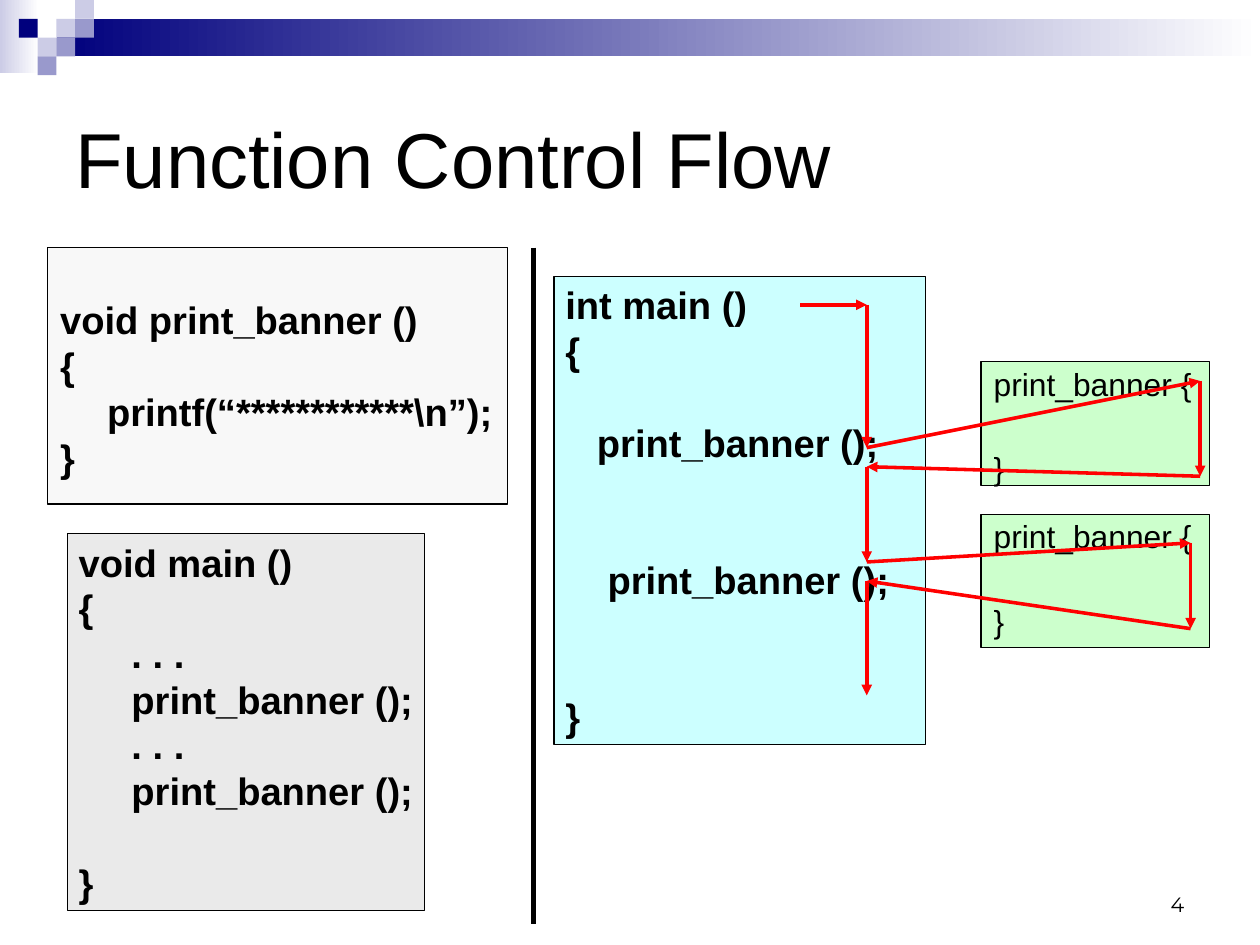
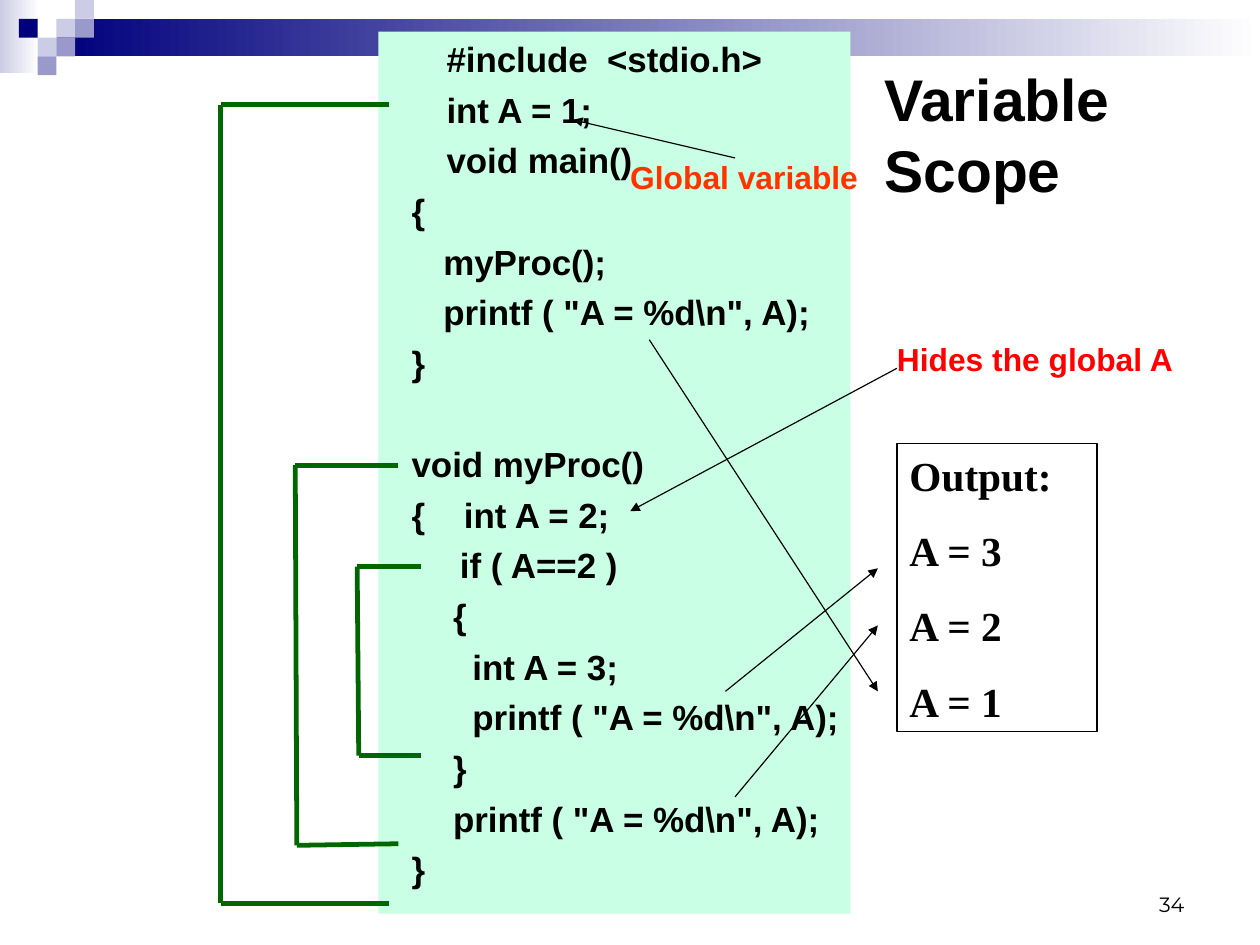
"""Build two slides on C functions: control flow and variable scope."""
from itertools import pairwise

from pptx import Presentation
from pptx.dml.color import RGBColor
from pptx.enum.shapes import MSO_CONNECTOR, MSO_SHAPE
from pptx.enum.text import MSO_ANCHOR, PP_ALIGN
from pptx.oxml.ns import qn
from pptx.oxml.xmlchemy import OxmlElement
from pptx.util import Pt

RECTANGLE = MSO_SHAPE.RECTANGLE
STRAIGHT = MSO_CONNECTOR.STRAIGHT
TOP, MIDDLE, BOTTOM = MSO_ANCHOR.TOP, MSO_ANCHOR.MIDDLE, MSO_ANCHOR.BOTTOM
LEFT, RIGHT = PP_ALIGN.LEFT, PP_ALIGN.RIGHT

WIDTH, HEIGHT = 793.7, 595.28
CELL = 11.85
LINE_HEIGHT = 1.2
INSET = (7.9, 4)
NARROW_INSET = (7.2, 3.6)

COLORS = {
    "black": "000000",
    "white": "FFFFFF",
    "navy": "00007D",
    "lavender": "CCCCE6",
    "periwinkle": "9999CC",
    "near_white": "F8F8F8",
    "gray": "EAEAEA",
    "cyan": "CCFFFF",
    "pale_green": "CCFFCC",
    "mint": "C9FFE4",
    "dark_green": "006600",
    "red": "FF0000",
    "orange": "FF3300",
}

SQUARES = [
    (3, 1, "lavender"), (4, 0, "lavender"), (4, 1, "periwinkle"),
    (2, 2, "lavender"), (1, 1, "navy"), (3, 2, "periwinkle"),
    (2, 3, "periwinkle"),
]

BANNER_CODE = [
    "void print_banner ()",
    "{",
    (29.5, "printf(“************\\n”);"),
    "}",
]
MAIN_CODE = [
    "void main ()",
    "{",
    "     . . .",
    "     print_banner ();",
    "     . . .",
    "     print_banner ();",
    "",
    "}",
]
FLOW_CODE = [
    "int main ()",
    "{",
    "",
    "   print_banner ();",
    "",
    "",
    "    print_banner ();",
    "",
    "",
    "}",
]
CALL_CODE = ["print_banner {", "", "}"]
SCOPE_CODE = [
    (22, "#include  <stdio.h>"),
    (22, "int A = 1;"),
    (22, "void main()"),
    "{",
    (20, "myProc();"),
    (20, "printf ( \"A = %d\\n\", A);"),
    "}",
    "",
    "void myProc()",
    "{    int A = 2;",
    "     if ( A==2 )",
    (20, " {"),
    (20, "   int A = 3;"),
    (20, "   printf ( \"A = %d\\n\", A);"),
    (20, " }"),
    (20, " printf ( \"A = %d\\n\", A);"),
    "}",
]

FLOW_PATH = [
    (504, 192), (546, 192), (546, 282), (756, 240), (756, 300), (546, 294),
    (546, 354), (750, 342), (750, 396), (546, 366), (546, 438),
]
SCOPE_BRACKETS = [
    [(265, 357), (225, 357), (226, 476), (265, 476)],
    [(251, 293), (186, 293), (187, 532.5), (251, 531.5)],
    [(245, 66), (139, 66), (139, 569), (245, 569)],
]
SCOPE_ARROWS = [
    [(463, 99.5), (361, 75.5)],
    [(457, 435.5), (553, 358)],
    [(463, 502), (553, 394)],
    [(409, 214), (553, 435.5)],
    [(565, 232), (397, 322)],
]


def color(name):
    """Return the named colour."""
    return RGBColor.from_string(COLORS[name])


def add_rectangle(slide, box, fill=None, outline=None):
    """Add a rectangle with an optional fill and thin outline."""
    shape = slide.shapes.add_shape(RECTANGLE, *map(Pt, box))
    shape.shadow.inherit = False
    if fill:
        shape.fill.solid()
        shape.fill.fore_color.rgb = color(fill)
    else:
        shape.fill.background()
    if outline:
        shape.line.color.rgb = color(outline)
        shape.line.width = Pt(0.75)
    else:
        shape.line.fill.background()
    return shape


def add_gradient(slide, box, start):
    """Add a rectangle that fades to white from left to right."""
    fill = add_rectangle(slide, box, start).fill
    fill.gradient()
    fill.gradient_angle = 0
    for stop, name in zip(fill.gradient_stops, (start, "white")):
        stop.color.rgb = color(name)


def write(shape, lines, size, ink="black", bold=False, font="Arial",
          inset=INSET, anchor=TOP, align=LEFT, spacing=1, before=0):
    """Write lines, each a string or an (indent, string) pair, into a shape."""
    frame = shape.text_frame
    frame.word_wrap = True
    frame.vertical_anchor = anchor
    frame.margin_left, frame.margin_top = map(Pt, inset)
    frame.margin_right = 0
    frame.margin_bottom = Pt(min(inset[1], INSET[1]))
    for index, line in enumerate(lines):
        indent, text = (0, line) if isinstance(line, str) else line
        paragraph = frame.add_paragraph() if index else frame.paragraphs[0]
        paragraph.text = text
        paragraph.alignment = align
        paragraph.line_spacing = Pt(round(size * LINE_HEIGHT * spacing, 2))
        paragraph.space_before = Pt(before if index else 0)
        if indent:
            paragraph._p.get_or_add_pPr().set("marL", str(Pt(indent)))
        paragraph.font.size = Pt(size)
        paragraph.font.name = font
        paragraph.font.bold = bold
        paragraph.font.color.rgb = color(ink)


def add_text(slide, box, text, size, **style):
    """Add a text box with one paragraph."""
    write(slide.shapes.add_textbox(*map(Pt, box)), [text], size, **style)


def add_path(slide, points, ink, width, arrow=False):
    """Join successive points with straight lines or arrows."""
    for start, end in pairwise(points):
        connector = slide.shapes.add_connector(
            STRAIGHT, *map(Pt, (*start, *end)))
        connector.line.color.rgb = color(ink)
        connector.line.width = Pt(width)
        properties = connector.element.spPr
        if arrow:
            tail = OxmlElement("a:tailEnd")
            tail.set("type", "triangle")
            properties.find(qn("a:ln")).append(tail)
        properties.append(OxmlElement("a:effectLst"))


def add_slide(presentation, number):
    """Add a blank slide with the shared band, squares and slide number."""
    slide = presentation.slides.add_slide(presentation.slide_layouts[6])
    add_gradient(slide, (0, 0, 24.5, 46), "lavender")
    add_gradient(slide, (36, CELL, WIDTH - 36, 2 * CELL), "navy")
    for column, row, fill in SQUARES:
        add_rectangle(slide, (column * CELL, row * CELL, CELL, CELL), fill)
    add_text(slide, (569, 542, 177, 39.6), number, 13, font="Montserrat",
             anchor=BOTTOM, align=RIGHT)
    return slide


def build_control_flow(presentation):
    """Build the slide on function control flow."""
    slide = add_slide(presentation, "4")
    add_text(slide, (39.6, 39.6, 714, 119), "Function Control Flow", 49,
             anchor=MIDDLE)
    write(add_rectangle(slide, (30, 156, 289.5, 161.5), "near_white", "black"),
          BANNER_CODE, 24, bold=True, inset=(7.9, 36.2), spacing=0.8, before=6)
    write(add_rectangle(slide, (42.5, 336, 224.8, 237.6), "gray", "black"),
          MAIN_CODE, 24, bold=True, inset=NARROW_INSET)
    write(add_rectangle(slide, (349, 174, 234, 295.2), "cyan", "black"),
          FLOW_CODE, 24, bold=True, inset=NARROW_INSET)
    for top, height in ((228, 78), (324, 84)):
        call = add_rectangle(slide, (618, top, 144, height),
                             "pale_green", "black")
        write(call, CALL_CODE, 20, spacing=0.9, before=5)
    add_path(slide, [(336, 156), (336, 582)], "black", 3)
    add_path(slide, FLOW_PATH, "red", 2.25, arrow=True)


def build_variable_scope(presentation):
    """Build the slide on variable scope."""
    slide = add_slide(presentation, "34")
    write(add_rectangle(slide, (238.3, 20, 297.4, 555.6), "mint"), SCOPE_CODE,
          22, bold=True, inset=(21, 3.8), before=5.5)
    add_text(slide, (549.3, 21.5, 244.4, 125.5), "Variable Scope", 37,
             bold=True, anchor=MIDDLE)
    for bracket in SCOPE_BRACKETS:
        add_path(slide, bracket, "dark_green", 3)
    write(add_rectangle(slide, (565, 279.5, 126, 181.5), outline="black"),
          ["Output:", "A = 3", "A = 2", "A = 1"], 26, bold=True,
          font="Times New Roman", before=16.2)
    add_text(slide, (397, 99.5, 186, 24), "Global variable", 20,
             ink="orange", bold=True, inset=(0, 0))
    add_text(slide, (565, 214, 186, 24), "Hides the global A", 20,
             ink="red", bold=True, inset=(0, 0))
    for arrow in SCOPE_ARROWS:
        add_path(slide, arrow, "black", 0.75, arrow=True)


def main():
    """Build and save the presentation."""
    presentation = Presentation()
    presentation.slide_width = Pt(WIDTH)
    presentation.slide_height = Pt(HEIGHT)
    build_control_flow(presentation)
    build_variable_scope(presentation)
    presentation.save("out.pptx")


if __name__ == "__main__":
    main()
